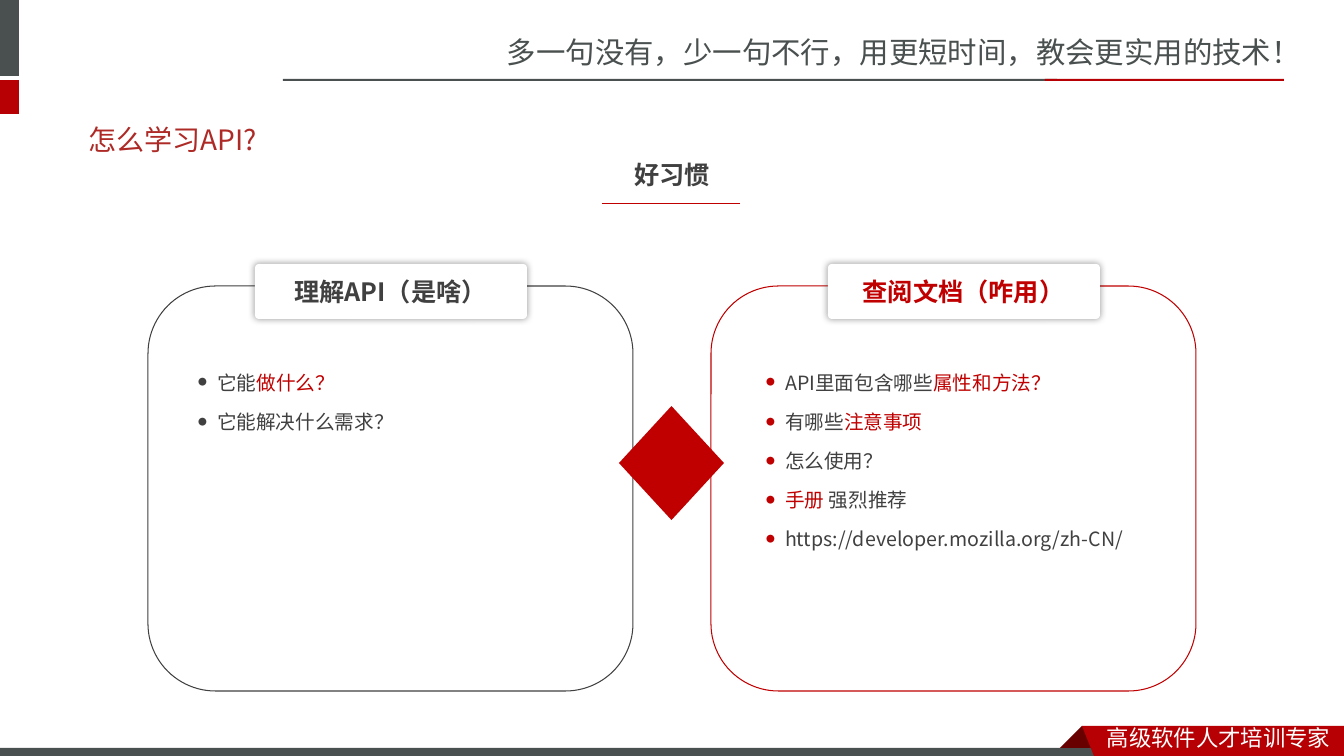
from pptx import Presentation
from pptx.dml.color import RGBColor
from pptx.enum.shapes import MSO_CONNECTOR, MSO_SHAPE
from pptx.enum.text import MSO_ANCHOR, MSO_AUTO_SIZE, PP_ALIGN
from pptx.oxml.ns import qn
from pptx.util import Pt
from lxml.etree import SubElement

PX = 12192000 / 1344
COLORS = {"slate": "49504F", "red": "B60004", "fold": "680000", "white": "FFFFFF",
          "title": "AD2A26", "accent": "C00000", "ink": "404040", "black": "000000"}
MASTER_FONT = "Noto Sans CJK SC"
BODY_FONT = "Noto Sans CJK JP"


def px(*lengths):
    return [round(length * PX) for length in lengths]


def write(paragraph, runs, size, font, bold=False):
    for words, color in runs:
        run = paragraph.add_run()
        run.text = words
        run.font.size = Pt(size)
        run.font.bold = bold
        run.font.name = font
        run.font.color.rgb = RGBColor.from_string(COLORS[color])
        SubElement(run.font._element, qn("a:ea"), typeface=font)


deck = Presentation()
deck.slide_width, deck.slide_height = px(1344, 756)
slide = deck.slides.add_slide(deck.slide_layouts[3])
shapes = slide.shapes
title, understand_list, lookup_list = slide.placeholders

bands = [(0, 0, 19, 76, "slate"), (0, 80, 19, 34, "red"),
         (283, 79, 774, 2, "slate"), (1045, 79, 239, 2, "red"),
         (0, 748, 1108, 8, "slate")]
for *place, color in bands:
    band = shapes.add_shape(MSO_SHAPE.RECTANGLE, *px(*place))
    band.shadow.inherit = False
    band.fill.solid()
    band.fill.fore_color.rgb = RGBColor.from_string(COLORS[color])
    band.line.fill.background()

ribbons = [("fold", [(1082, 726), (1104, 748), (1060, 748)]),
           ("red", [(1082, 726), (1344, 726), (1344, 756), (1094, 756)])]
for color, (start, *corners) in ribbons:
    outline = shapes.build_freeform(*start, scale=PX)
    outline.add_line_segments(corners, close=True)
    ribbon = outline.convert_to_shape()
    ribbon.shadow.inherit = False
    ribbon.fill.solid()
    ribbon.fill.fore_color.rgb = RGBColor.from_string(COLORS[color])
    ribbon.line.fill.background()

title.left, title.top, title.width, title.height = px(78, 110, 1181, 58)
title_frame = title.text_frame
title_frame.auto_size = MSO_AUTO_SIZE.NONE
title_frame.vertical_anchor = MSO_ANCHOR.MIDDLE
title_frame.paragraphs[0].alignment = PP_ALIGN.LEFT
write(title_frame.paragraphs[0], [("怎么学习API?", "title")], 20, BODY_FONT)

for left, color in [(711, "accent"), (148, "ink")]:
    panel = shapes.add_shape(MSO_SHAPE.ROUNDED_RECTANGLE, *px(left, 286, 485, 405))
    panel.shadow.inherit = False
    panel.fill.background()
    panel.line.color.rgb = RGBColor.from_string(COLORS[color])
    panel.line.width = Pt(0.75)

for left in (255, 828):
    tab = shapes.add_shape(MSO_SHAPE.ROUNDED_RECTANGLE, *px(left, 264, 272, 55))
    tab.adjustments[0] = 0.07
    tab.fill.solid()
    tab.fill.fore_color.rgb = RGBColor.from_string(COLORS["white"])
    tab.line.fill.background()
    tab.shadow.inherit = False
    effects = tab._element.spPr.find(qn("a:effectLst"))
    glow = SubElement(effects, qn("a:outerShdw"), blurRad=str(Pt(5)), dist="0",
                      dir="0", algn="ctr", rotWithShape="0")
    glow_color = SubElement(glow, qn("a:srgbClr"), val=COLORS["black"])
    SubElement(glow_color, qn("a:alpha"), val="40000")

diamond = shapes.add_shape(MSO_SHAPE.DIAMOND, *px(619, 406, 105, 114))
diamond.shadow.inherit = False
diamond.fill.solid()
diamond.fill.fore_color.rgb = RGBColor.from_string(COLORS["accent"])
diamond.line.fill.background()

underline = shapes.add_connector(MSO_CONNECTOR.STRAIGHT, *px(602, 204, 740, 204))
underline.line.fill.solid()
underline.line.fill.fore_color.rgb = RGBColor.from_string(COLORS["accent"])
underline.line.width = Pt(0.75)
SubElement(underline._element.spPr, qn("a:effectLst"))

captions = [
    ((497, 28, 847, 47), "多一句没有，少一句不行，用更短时间，教会更实用的技术！",
     21, MASTER_FONT, "slate", False),
    ((1097, 720, 247, 36), "高级软件人才培训专家", 16, MASTER_FONT, "white", False),
    ((570, 153, 204, 43), "好习惯", 18, BODY_FONT, "ink", True),
    ((265, 270, 251, 43), "理解API（是啥）", 18, BODY_FONT, "ink", True),
    ((838, 270, 251, 43), "查阅文档（咋用）", 18, BODY_FONT, "accent", True)]
for place, words, size, font, color, heading in captions:
    frame = shapes.add_textbox(*px(*place)).text_frame
    frame.word_wrap = True
    frame.vertical_anchor = MSO_ANCHOR.MIDDLE
    frame.margin_top = frame.margin_bottom = 0
    caption = frame.paragraphs[0]
    caption.alignment = PP_ALIGN.CENTER if heading else PP_ALIGN.LEFT
    write(caption, [(words, color)], size, font, heading)

lists = [
    (understand_list, 188, "ink", [
        [("它能", "ink"), ("做什么？", "accent")],
        [("它能解决什么需求？", "ink")]]),
    (lookup_list, 756, "accent", [
        [("API里面包含哪些", "ink"), ("属性和方法？", "accent")],
        [("有哪些", "ink"), ("注意事项", "accent")],
        [("怎么使用？", "ink")],
        [("手册 ", "accent"), ("强烈推荐", "ink")],
        [("https://developer.mozilla.org/zh-CN/", "ink")]])]
for body, left, bullet_color, points in lists:
    body.left, body.top, body.width, body.height = px(left, 354, 413, 302)
    frame = body.text_frame
    frame.auto_size = MSO_AUTO_SIZE.NONE
    for number, runs in enumerate(points):
        point = frame.add_paragraph() if number else frame.paragraphs[0]
        point.line_spacing = Pt(25)
        point.space_before = Pt(2.9 if number else 0)
        layout = point._p.get_or_add_pPr()
        layout.set("marL", str(px(19)[0]))
        layout.set("indent", str(px(-19)[0]))
        tint = SubElement(layout, qn("a:buClr"))
        SubElement(tint, qn("a:srgbClr"), val=COLORS[bullet_color])
        SubElement(layout, qn("a:buSzPct"), val="45000")
        SubElement(layout, qn("a:buFont"), typeface=BODY_FONT)
        SubElement(layout, qn("a:buChar"), char="●")
        write(point, runs, 14, BODY_FONT)

deck.save("out.pptx")
